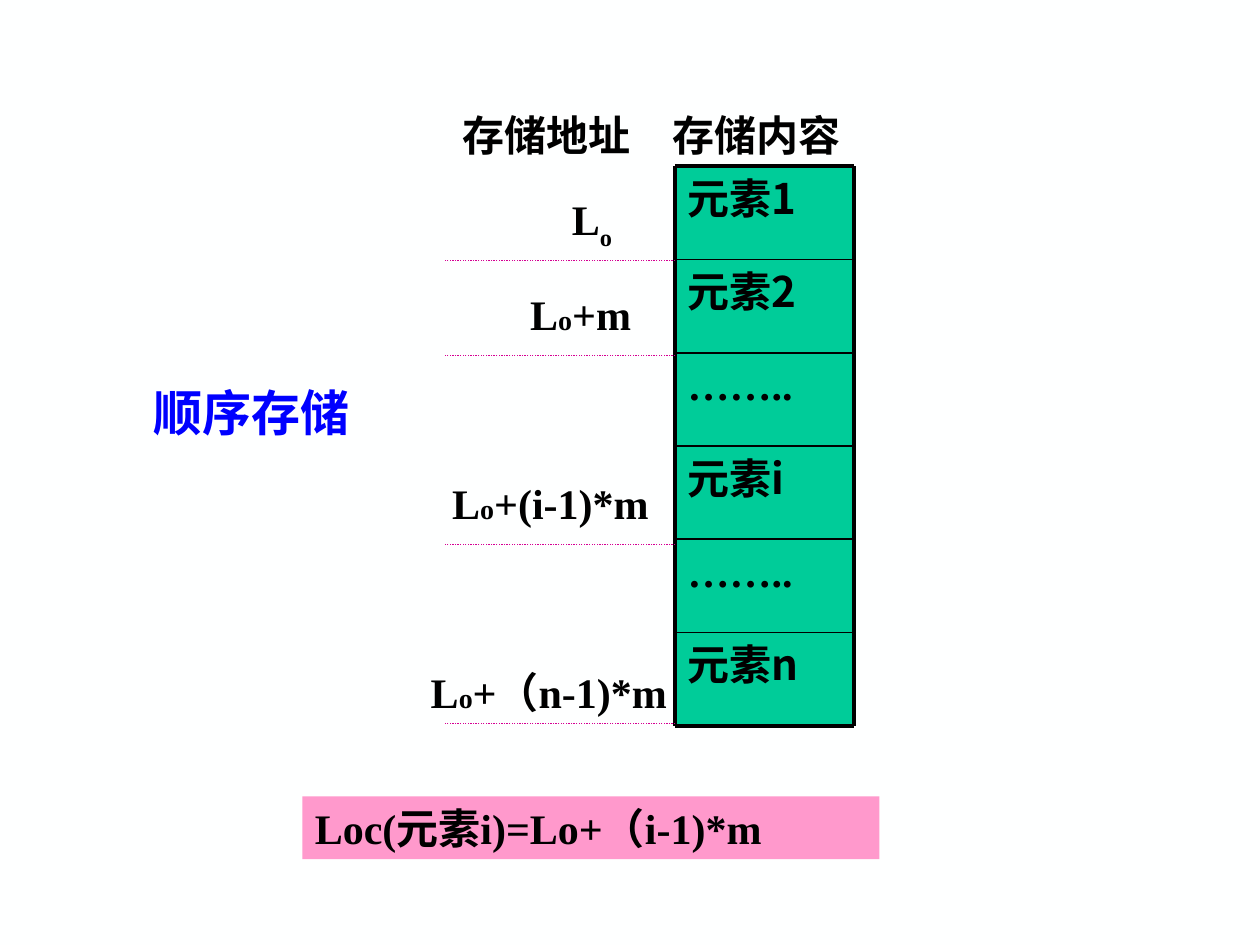
from lxml.etree import SubElement
from pptx import Presentation
from pptx.dml.color import RGBColor
from pptx.enum.dml import MSO_LINE_DASH_STYLE as DASH
from pptx.enum.shapes import MSO_CONNECTOR as CONN, MSO_SHAPE as SHAPE
from pptx.enum.text import MSO_ANCHOR, MSO_AUTO_SIZE as AUTO, PP_ALIGN
from pptx.oxml.ns import qn
from pptx.util import Inches, Pt

BACKGROUND = RGBColor(0xFE, 0xFF, 0xFF)
BLACK = RGBColor(0, 0, 0)
GREEN = RGBColor(0x00, 0xCC, 0x99)
MAGENTA = RGBColor(0xD6, 0x00, 0x93)
PINK = RGBColor(0xFF, 0x99, 0xCC)
BLUE = RGBColor(0, 0, 0xFF)
SERIF = "Times New Roman"
SANS = "Noto Sans CJK SC"


def write(sp, runs, size=24, color=BLACK, font=SERIF, before=15, wrap=True, grow=True):
    """Fill a shape with one bold paragraph and return its runs."""
    tf = sp.text_frame
    tf.word_wrap = wrap
    tf.auto_size = AUTO.SHAPE_TO_FIT_TEXT if grow else AUTO.NONE
    tf.vertical_anchor = MSO_ANCHOR.TOP
    p = tf.paragraphs[0]
    p.alignment = PP_ALIGN.LEFT
    p.space_before = Pt(before)
    p.font.size, p.font.bold, p.font.name = Pt(size), True, font
    p.font.color.rgb = color
    SubElement(p.font._element, qn("a:ea"), typeface=SANS)
    for text in runs:
        p.add_run().text = text
    return p.runs


def add_label(s, box, runs, **style):
    """Place a text box and return its runs."""
    return write(s.shapes.add_textbox(*map(Inches, box)), runs, **style)


def add_block(s, box, text, fill, **style):
    """Place a filled rectangle with text and no outline."""
    sp = s.shapes.add_shape(SHAPE.RECTANGLE, *map(Inches, box))
    sp.shadow.inherit = False
    sp.fill.solid()
    sp.fill.fore_color.rgb = fill
    sp.line.fill.background()
    write(sp, [text], **style)


def add_line(s, x1, y1, x2, y2, color, width, dash=None):
    """Draw a straight line without a shadow."""
    ln = s.shapes.add_connector(CONN.STRAIGHT, *map(Inches, (x1, y1, x2, y2)))
    ln.line.color.rgb = color
    ln.line.width = Pt(width)
    if dash:
        ln.line.dash_style = dash
    SubElement(ln._element.spPr, qn("a:effectLst"))


def add_memory(s, box, cells):
    """Stack the storage cells and rule them with a heavy frame."""
    x, y, w, h = box
    n = len(cells)
    step = h / n
    for i, text in enumerate(cells):
        font = SANS if text.startswith("元素") else SERIF
        add_block(s, (x, y + i * step, w, step), text, GREEN, font=font, before=6, grow=False)
    for i in range(n + 1):
        width = 2.25 if i in (0, n) else 1
        add_line(s, x, y + i * step, x + w, y + i * step, BLACK, width)
    for edge in (x, x + w):
        add_line(s, edge, y, edge, y + h, BLACK, 2.25)


def add_addresses(s, box, addresses):
    """Write each cell address above its dotted rule."""
    left, top, width, _ = box
    for (x, y, w, h), tail, rule in addresses:
        runs = add_label(s, (left + x, top + y, w, h), ["L", "o"] + ([tail] if tail else []))
        if tail:
            runs[1].font.size = Pt(16)
        else:
            runs[1].font._element.set("baseline", "-25000")
        add_line(s, left + width, top + rule, left, top + rule, MAGENTA, 0.75, DASH.ROUND_DOT)


def main():
    """Build the sequential storage slide."""
    prs = Presentation()
    prs.slide_width, prs.slide_height = Inches(10), Inches(7.5)
    s = prs.slides.add_slide(prs.slide_layouts[6])
    s.background.fill.solid()
    s.background.fill.fore_color.rgb = BACKGROUND
    add_memory(s, (5.36, 1.32, 1.42, 4.44),
               ["元素1", "元素2", "……..", "元素i", "……..", "元素n"])
    add_addresses(s, (3.53, 1.32, 1.83, 4.44), [
        ((0.91, 0.17, 0.83, 0.56), "", 0.75),
        ((0.58, 0.92, 1.17, 0.5), "+m", 1.5),
        ((-0.04, 2.42, 2.13, 0.5), "+(i-1)*m", 3),
        ((-0.21, 3.92, 2.08, 0.9), "+（n-1)*m", 4.42),
    ])
    add_label(s, (3.57, 0.82, 1.71, 0.5), ["存储地址"])
    add_label(s, (5.24, 0.82, 1.58, 0.5), ["存储内容"])
    add_block(s, (2.4, 6.32, 4.58, 0.5), "Loc(元素i)=Lo+（i-1)*m", PINK)
    add_label(s, (1.12, 2.99, 1.75, 0.57), ["顺序存储"],
              size=28, color=BLUE, before=17.5, wrap=False)
    prs.save("out.pptx")


if __name__ == "__main__":
    main()
